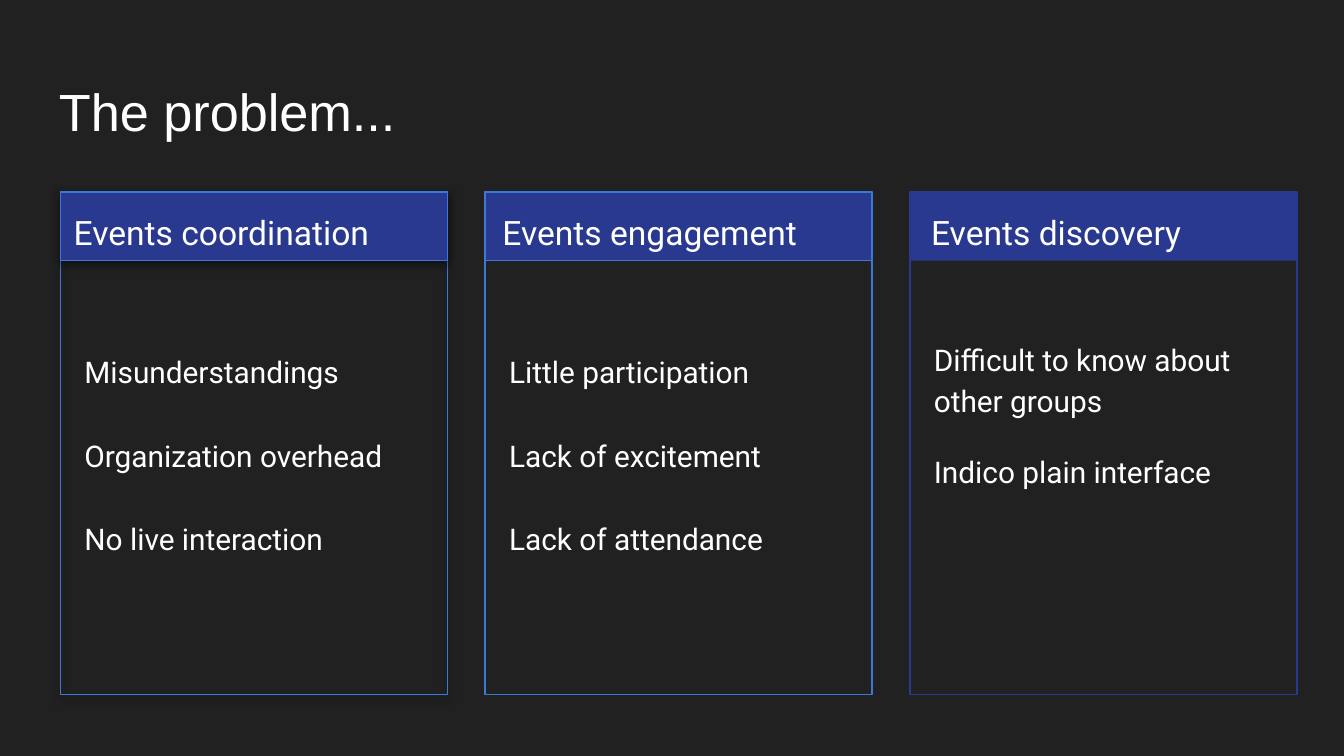
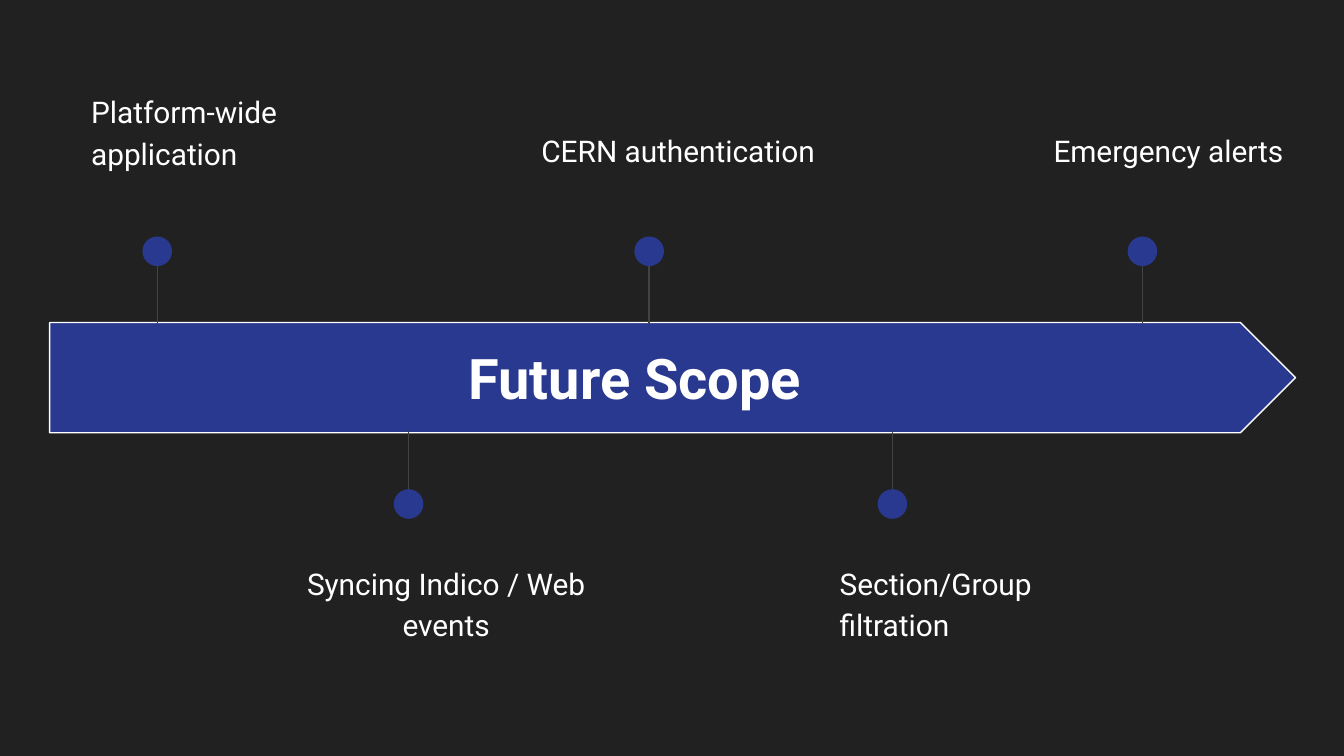
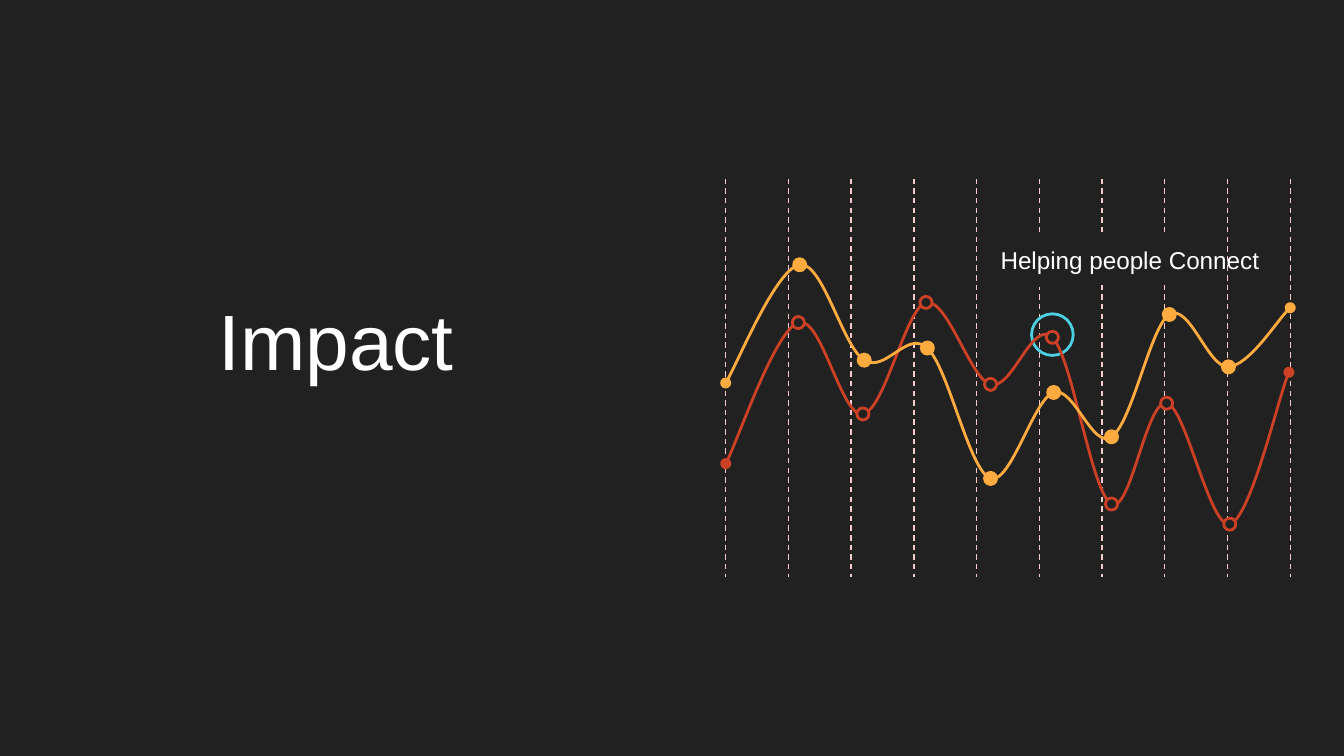
from dataclasses import dataclass

from lxml import etree
from pptx import Presentation
from pptx.dml.color import RGBColor
from pptx.enum.dml import MSO_LINE
from pptx.enum.shapes import MSO_CONNECTOR, MSO_SHAPE
from pptx.enum.text import MSO_ANCHOR, PP_ALIGN
from pptx.oxml.ns import qn
from pptx.util import Inches, Pt

RECT = MSO_SHAPE.RECTANGLE
OVAL = MSO_SHAPE.OVAL
ARROW = MSO_SHAPE.PENTAGON
BUBBLE = MSO_SHAPE.ROUNDED_RECTANGULAR_CALLOUT
STRAIGHT = MSO_CONNECTOR.STRAIGHT
DASH = MSO_LINE.DASH
LEFT, CENTER = PP_ALIGN.LEFT, PP_ALIGN.CENTER
TOP, MIDDLE, BOTTOM = MSO_ANCHOR.TOP, MSO_ANCHOR.MIDDLE, MSO_ANCHOR.BOTTOM


@dataclass(frozen=True)
class Theme:
    back: str = "212121"
    white: str = "FFFFFF"
    navy: str = "2A3990"
    blue: str = "3C78D8"
    grey: str = "434343"
    pink: str = "F4CCCC"
    red: str = "CC4125"
    amber: str = "FFAB40"
    cyan: str = "4DD0E1"
    sans: str = "Arial"
    body: str = "Roboto"
    title: int = 28
    hero: int = 42
    banner: int = 30
    head: int = 18
    note: int = 16
    label: int = 13
    thin: float = 0.75
    thick: float = 1.5


T = Theme()

CARDS = [
    ("Events coordination", T.blue, T.blue, 1.5, True,
     ["Misunderstandings", "Organization overhead", "No live interaction"]),
    ("Events engagement", T.blue, T.blue, 1.5, False,
     ["Little participation", "Lack of excitement", "Lack of attendance"]),
    ("Events discovery", T.navy, None, 1.15, False,
     ["Difficult to know about other groups", "Indico plain interface"]),
]

GOALS = [
    (1.17, -1, "Platform-wide application", (0.58, 0.56, 2.66, 0.99), LEFT),
    (3.04, 1, "Syncing Indico / Web events", (2.03, 4.07, 2.58, 0.99), CENTER),
    (4.83, -1, "CERN authentication", (3.93, 0.85, 2.45, 0.99), LEFT),
    (6.64, 1, "Section/Group filtration", (6.15, 4.07, 1.94, 0.99), LEFT),
    (8.5, -1, "Emergency alerts", (7.74, 0.85, 2.45, 0.99), LEFT),
]

RED_WAVE = [
    (5.4, 3.45),
    (5.49, 3.28), (5.77, 2.46), (5.94, 2.4),
    (6.11, 2.34), (6.26, 3.11), (6.42, 3.08),
    (6.58, 3.06), (6.74, 2.29), (6.89, 2.25),
    (7.05, 2.22), (7.22, 2.82), (7.37, 2.86),
    (7.53, 2.91), (7.68, 2.37), (7.83, 2.51),
    (7.98, 2.66), (8.12, 3.67), (8.27, 3.75),
    (8.41, 3.83), (8.53, 2.97), (8.68, 3),
    (8.82, 3.02), (9, 3.93), (9.15, 3.9),
    (9.3, 3.86), (9.51, 2.96), (9.59, 2.77),
]

AMBER_WAVE = [
    (5.4, 2.85),
    (5.49, 2.7), (5.78, 2), (5.95, 1.97),
    (6.12, 1.94), (6.27, 2.58), (6.43, 2.68),
    (6.59, 2.78), (6.75, 2.45), (6.9, 2.59),
    (7.06, 2.74), (7.21, 3.5), (7.37, 3.56),
    (7.52, 3.61), (7.69, 2.97), (7.84, 2.92),
    (7.99, 2.87), (8.13, 3.35), (8.27, 3.25),
    (8.42, 3.16), (8.56, 2.43), (8.7, 2.34),
    (8.85, 2.25), (8.99, 2.74), (9.14, 2.73),
    (9.29, 2.72), (9.52, 2.36), (9.6, 2.29),
]


def rgb(code):
    return RGBColor.from_string(code)


def new_slide(deck):
    slide = deck.slides.add_slide(deck.slide_layouts[6])
    slide.background.fill.solid()
    slide.background.fill.fore_color.rgb = rgb(T.back)
    return slide


def paint(shape, fill=None, edge=None, width=T.thin):
    shape.shadow.inherit = False
    if fill:
        shape.fill.solid()
        shape.fill.fore_color.rgb = rgb(fill)
    else:
        shape.fill.background()
    if edge:
        shape.line.color.rgb = rgb(edge)
        shape.line.width = Pt(width)
    else:
        shape.line.fill.background()


def add_shape(slide, kind, box, fill=None, edge=None, width=T.thin):
    shape = slide.shapes.add_shape(kind, *map(Inches, box))
    paint(shape, fill, edge, width)
    return shape


def add_dot(slide, x, y, size, fill=None, edge=None, width=T.thick):
    box = (x - size / 2, y - size / 2, size, size)
    add_shape(slide, OVAL, box, fill, edge, width)


def add_text(slide, box, lines, size, font=T.body, align=LEFT, anchor=TOP,
             space=1.0, gap=0, bold=False):
    frame = slide.shapes.add_textbox(*map(Inches, box)).text_frame
    frame.word_wrap = True
    frame.vertical_anchor = anchor
    frame.margin_left = frame.margin_right = Inches(0.1)
    frame.margin_top = frame.margin_bottom = Inches(0.1)
    for i, line in enumerate(lines):
        para = frame.add_paragraph() if i else frame.paragraphs[0]
        para.text = line
        para.alignment = align
        para.line_spacing = space
        if i:
            para.space_before = Pt(gap)
        para.font.name = font
        para.font.size = Pt(size)
        para.font.bold = bold
        para.font.color.rgb = rgb(T.white)


def add_line(slide, x, top, end, color, dash=None):
    line = slide.shapes.add_connector(
        STRAIGHT, Inches(x), Inches(top), Inches(x), Inches(end))
    line.line.color.rgb = rgb(color)
    line.line.width = Pt(T.thin)
    if dash:
        line.line.dash_style = dash
    etree.SubElement(line._element.spPr, qn("a:effectLst"))


def add_shade(shape):
    effects = shape._element.spPr.find(qn("a:effectLst"))
    shade = etree.SubElement(
        effects, qn("a:outerShdw"), blurRad=str(Pt(4.5)), dist=str(Pt(1.5)),
        dir="5400000", algn="bl", rotWithShape="0")
    color = etree.SubElement(shade, qn("a:srgbClr"), val="000000")
    etree.SubElement(color, qn("a:alpha"), val="50000")


def add_curve(slide, points, color):
    start, *rest = [(Inches(x), Inches(y)) for x, y in points]
    pen = slide.shapes.build_freeform(*start)
    pen.add_line_segments(rest, close=False)
    shape = pen.convert_to_shape()
    paint(shape, edge=color, width=T.thick)
    steps = list(shape._element.iter(qn("a:lnTo")))
    for i in range(0, len(steps), 3):
        bend = etree.Element(qn("a:cubicBezTo"))
        steps[i].addprevious(bend)
        for step in steps[i:i + 3]:
            bend.append(step[0])
            step.getparent().remove(step)
    stroke = shape._element.spPr.find(qn("a:ln"))
    for end in ("a:headEnd", "a:tailEnd"):
        etree.SubElement(stroke, qn(end), type="oval")


def add_wave(slide, points, color, fill):
    add_curve(slide, points, color)
    for x, y in points[3:-1:3]:
        add_dot(slide, x, y, 0.09, fill, color)


def add_card(slide, i, head, edge, rim, space, shade, notes):
    left = 0.45 + 3.16 * i
    body = add_shape(slide, RECT, (left, 1.43, 2.88, 3.74), edge=edge)
    band = add_shape(slide, RECT, (left, 1.43, 2.88, 0.51), T.navy, rim)
    if shade:
        add_shade(body)
        add_shade(band)
    add_text(slide, (left + 0.03 * i, 1.43, 2.73, 0.5), [head], T.head,
             space=1.15)
    add_text(slide, (left + 0.08, 2.4, 2.71, 3.06), notes, T.note,
             space=space, gap=16)


def add_goal(slide, x, side, label, box, align):
    axis = 2.81
    add_line(slide, x, axis + side * 1.01, axis + side * 0.4, T.grey)
    add_dot(slide, x, axis + side * 0.94, 0.22, T.navy)
    add_text(slide, box, [label], T.note, align=align, space=1.15)


def draw_problem(deck):
    slide = new_slide(deck)
    add_text(slide, (0.34, 0.49, 9.32, 0.63), ["The problem..."], T.title,
             T.sans)
    for i, card in enumerate(CARDS):
        add_card(slide, i, *card)


def draw_future(deck):
    slide = new_slide(deck)
    add_shape(slide, ARROW, (0.37, 2.4, 9.27, 0.82), T.navy, T.white)
    add_text(slide, (2.8, 2.55, 3.85, 0.51), ["Future Scope"], T.banner,
             align=CENTER, anchor=MIDDLE, bold=True)
    for goal in GOALS:
        add_goal(slide, *goal)


def draw_impact(deck):
    slide = new_slide(deck)
    for i in range(10):
        add_line(slide, 5.4 + 4.2 * i / 9, 1.33, 4.29, T.pink, DASH)
    add_dot(slide, 7.83, 2.49, 0.31, edge=T.cyan)
    add_text(slide, (0.29, 1.35, 4.42, 1.62), ["Impact"], T.hero, T.sans,
             CENTER, BOTTOM)
    add_wave(slide, RED_WAVE, T.red, T.back)
    bubble = add_shape(slide, BUBBLE, (7.49, 1.73, 1.29, 0.38), T.back)
    for i, value in enumerate((-0.21, 0.85, 0)):
        bubble.adjustments[i] = value
    add_wave(slide, AMBER_WAVE, T.amber, T.amber)
    add_text(slide, (7.15, 1.76, 2.51, 0.31), ["Helping people Connect"],
             T.label, T.sans, CENTER, MIDDLE, 1.15)


def main():
    deck = Presentation()
    deck.slide_width = Inches(10)
    deck.slide_height = deck.slide_width * 9 // 16
    draw_problem(deck)
    draw_future(deck)
    draw_impact(deck)
    deck.save("out.pptx")


if __name__ == "__main__":
    main()
